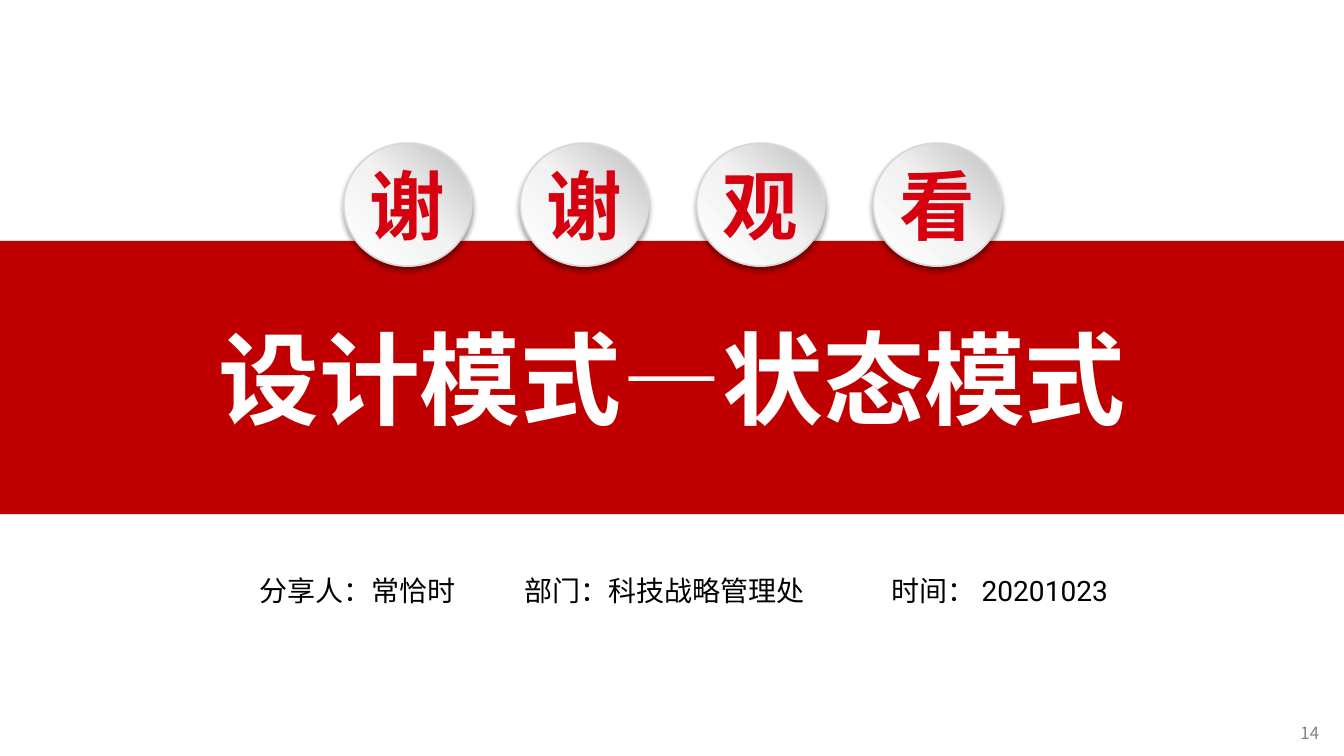
from lxml import etree
from pptx import Presentation
from pptx.dml.color import RGBColor as Rgb
from pptx.enum.shapes import MSO_SHAPE as Kind
from pptx.enum.text import MSO_ANCHOR as Anchor, PP_ALIGN as Align
from pptx.oxml import parse_xml
from pptx.oxml.ns import nsdecls, qn
from pptx.util import Inches, Pt

COLORS = {
    "band": "C00000", "sign": "D7000F", "rim": "D9D9D9",
    "white": "FFFFFF", "pale": "F2F2F2", "gray": "BFBFBF",
    "black": "000000", "page": "808080",
}
CJK = "Noto Sans CJK SC"
LATIN = "Roboto"


def tint(name):
    return Rgb.from_string(COLORS[name])


def style(run, size, color, bold=False, font=CJK):
    run.font.name = font
    run.font.size = Pt(size)
    run.font.bold = bold
    run.font.color.rgb = tint(color)
    face = etree.SubElement(run.font._element, qn("a:ea"))
    face.set("typeface", CJK)


def add_text(slide, box, text, size, color):
    frame = slide.shapes.add_textbox(*map(Inches, box)).text_frame
    frame.word_wrap = True
    frame.text = text
    style(frame.paragraphs[0].runs[0], size, color)
    return frame


def add_label(shape, text, size, color):
    frame = shape.text_frame
    frame.text = text
    frame.vertical_anchor = Anchor.MIDDLE
    frame.margin_left = frame.margin_right = 0
    frame.margin_top = frame.margin_bottom = 0
    line = frame.paragraphs[0]
    line.alignment = Align.CENTER
    style(line.runs[0], size, color, bold=True)


def add_band(slide, top, width, height, text):
    band = slide.shapes.add_shape(
        Kind.RECTANGLE, 0, Inches(top), Inches(width), Inches(height))
    band.shadow.inherit = False
    band.fill.solid()
    band.fill.fore_color.rgb = tint("band")
    band.line.fill.background()
    add_label(band, text, 72, "white")


def add_badge(group, left, text):
    badge = group.shapes.add_shape(
        Kind.OVAL, Inches(left), Inches(1.42), Inches(1.27), Inches(1.22))
    badge.line.color.rgb = tint("rim")
    badge.line.width = Pt(1.25)
    # Diagonal three-stop gradient
    stops = "".join(
        f'<a:gs pos="{spot * 1000}"><a:srgbClr val="{COLORS[name]}"/></a:gs>'
        for spot, name in ((0, "white"), (50, "pale"), (100, "gray")))
    props = badge._element.spPr
    props.find(qn("a:prstGeom")).addnext(parse_xml(
        f'<a:gradFill {nsdecls("a")} rotWithShape="1"><a:gsLst>{stops}</a:gsLst>'
        f'<a:lin ang="{315 * 60000}" scaled="0"/></a:gradFill>'))
    # Soft shadow below
    props.append(parse_xml(
        f'<a:effectLst {nsdecls("a")}><a:outerShdw blurRad="{Pt(4)}" '
        f'dist="{Pt(3)}" dir="{90 * 60000}" algn="t" rotWithShape="0">'
        f'<a:srgbClr val="{COLORS["black"]}"><a:alpha val="40000"/></a:srgbClr>'
        '</a:outerShdw></a:effectLst>'))
    add_label(badge, text, 54, "sign")


def add_facts(slide, facts, date, stops):
    frame = add_text(slide, (1.94, 5.47, 9.7, 0.61), "\t".join(facts), 20, "black")
    frame.margin_left = Inches(0.63)
    line = frame.paragraphs[0]
    line.alignment = Align.LEFT
    line.line_spacing = 1.5
    run = line.add_run()
    run.text = date
    style(run, 20, "black", font=LATIN)
    # Tab stops set the columns
    tabs = etree.SubElement(line._p.get_or_add_pPr(), qn("a:tabLst"))
    for stop in stops:
        tab = etree.SubElement(tabs, qn("a:tab"))
        tab.set("pos", str(Inches(stop)))
        tab.set("algn", "l")


def main():
    deck = Presentation()
    deck.slide_width, deck.slide_height = Inches(13.33), Inches(7.5)
    slide = deck.slides.add_slide(deck.slide_layouts[6])

    # Page number
    add_text(slide, (12.8, 7.12, 0.51, 0.29), "14", 12, "page")

    # Title band
    add_band(slide, 2.39, 13.33, 2.71, "设计模式—状态模式")

    # Thank-you badges
    group = slide.shapes.add_group_shape()
    for index, sign in enumerate("谢谢观看"):
        add_badge(group, 3.41 + 1.75 * index, sign)

    # Speaker, department and date
    add_facts(slide, ("分享人：常恰时", "部门：科技战略管理处", "时间： "),
              "20201023", (2.63, 6.27))

    deck.save("out.pptx")


main()
